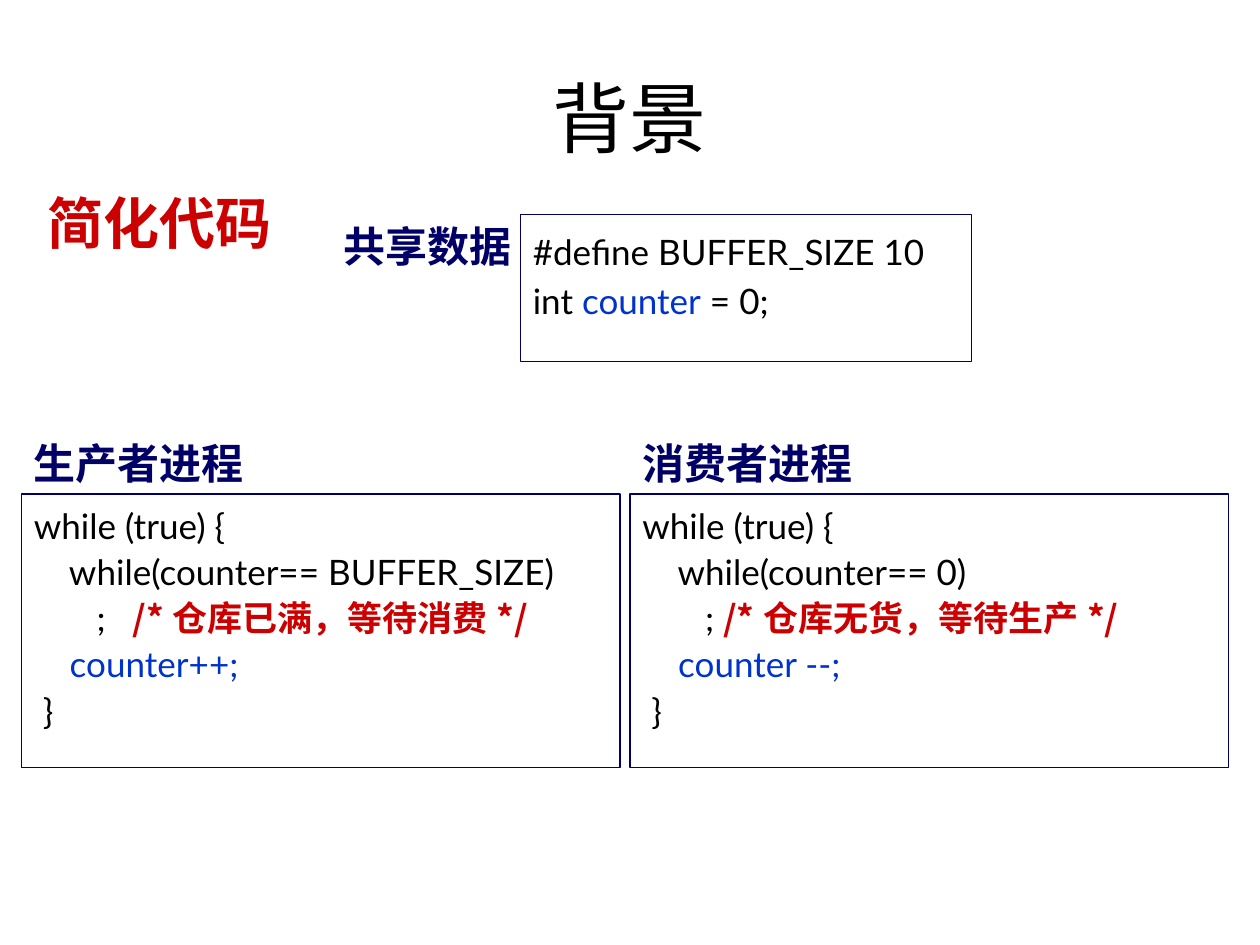
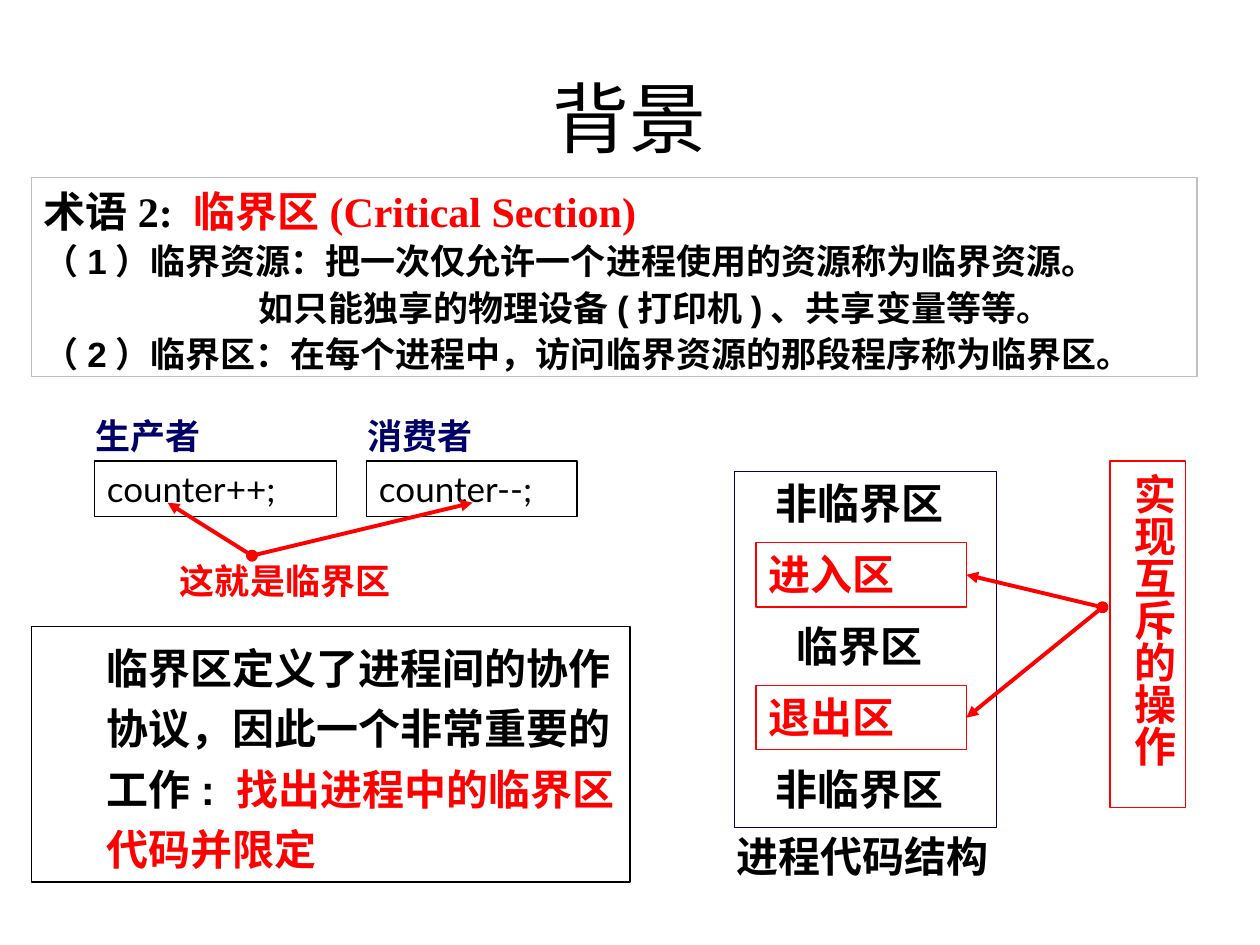
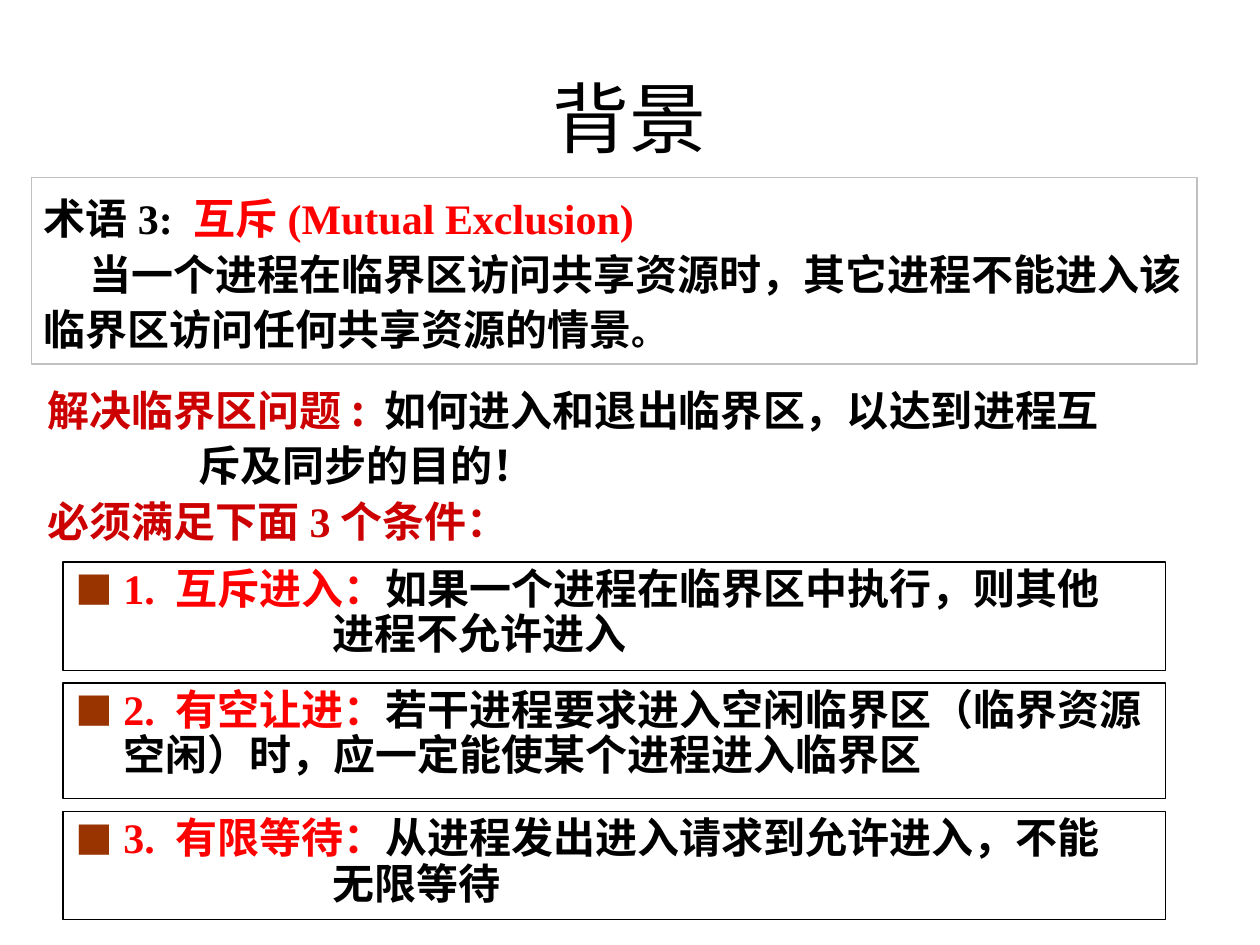
from dataclasses import dataclass
from typing import NamedTuple, Optional

from lxml import etree
from pptx import Presentation
from pptx.dml.color import RGBColor
from pptx.enum.shapes import MSO_CONNECTOR, MSO_SHAPE
from pptx.enum.text import MSO_ANCHOR, PP_ALIGN
from pptx.oxml.ns import qn
from pptx.util import Inches, Pt

RECTANGLE = MSO_SHAPE.RECTANGLE
STRAIGHT = MSO_CONNECTOR.STRAIGHT
TOP, MIDDLE = MSO_ANCHOR.TOP, MSO_ANCHOR.MIDDLE
LEFT, CENTER = PP_ALIGN.LEFT, PP_ALIGN.CENTER
RIGHT_SIDE = 3

COLORS = {
    "black": "000000",
    "white": "FFFFFF",
    "navy": "000066",
    "blue": "0033CC",
    "dark red": "CC0000",
    "red": "FF0000",
    "silver": "C0C0C0",
    "brown": "993300",
}
CJK, SANS, SERIF, CODE = "Noto Sans CJK SC", "Arial", "Times New Roman", "Lato"
TITLE = "背景"


# Text and shape descriptions
class Run(NamedTuple):
    text: str
    color: Optional[str] = None
    font: Optional[str] = None
    size: Optional[int] = None
    bold: Optional[bool] = None


@dataclass
class Line:
    runs: tuple[Run, ...]
    size: int = 24
    font: str = SANS
    color: str = "black"
    bold: bool = True
    margin: float = 0
    indent: float = 0
    spacing: float = 1.0
    before: float = 0
    align: PP_ALIGN = LEFT
    bullet: bool = False


@dataclass
class Box:
    left: float
    top: float
    width: float
    height: float
    lines: tuple[Line, ...] = ()
    border: Optional[str] = None
    fill: Optional[str] = None
    anchor: MSO_ANCHOR = TOP
    top_inset: float = 0.05
    vertical: bool = False


class Arrow(NamedTuple):
    start: tuple[float, float]
    end: tuple[float, float]
    target: Optional[object] = None


# Drawing functions
def rgb(color: str) -> RGBColor:
    return RGBColor.from_string(COLORS[color])


def add_bullet(properties) -> None:
    bullet_color = etree.SubElement(properties, qn("a:buClr"))
    etree.SubElement(bullet_color, qn("a:srgbClr"), val=COLORS["brown"])
    etree.SubElement(properties, qn("a:buSzPct"), val="90000")
    etree.SubElement(properties, qn("a:buFont"), typeface=CJK)
    etree.SubElement(properties, qn("a:buChar"), char="■")


def write_line(paragraph, line: Line) -> None:
    properties = paragraph._p.get_or_add_pPr()
    properties.set("marL", str(Inches(line.margin)))
    properties.set("indent", str(Inches(line.indent)))
    if line.bullet:
        add_bullet(properties)
    paragraph.alignment = line.align
    paragraph.line_spacing = line.spacing
    paragraph.space_before = Pt(line.before)
    font = paragraph.font
    font.size, font.bold, font.name = Pt(line.size), line.bold, line.font
    font.color.rgb = rgb(line.color)
    etree.SubElement(properties.find(qn("a:defRPr")), qn("a:ea"), typeface=CJK)
    for part in line.runs:
        run = paragraph.add_run()
        run.text = part.text
        if part.color:
            run.font.color.rgb = rgb(part.color)
        if part.font:
            run.font.name = part.font
        if part.size:
            run.font.size = Pt(part.size)
        if part.bold is not None:
            run.font.bold = part.bold


def write_lines(text_frame, lines: tuple[Line, ...]) -> None:
    for index, line in enumerate(lines):
        paragraph = text_frame.add_paragraph() if index else text_frame.paragraphs[0]
        write_line(paragraph, line)


def draw_box(slide, box: Box):
    place = [Inches(value) for value in (box.left, box.top, box.width, box.height)]
    if box.border:
        shape = slide.shapes.add_shape(RECTANGLE, *place)
        shape.shadow.inherit = False
        shape.line.color.rgb = rgb(box.border)
        shape.line.width = Pt(0.75)
        if box.fill:
            shape.fill.solid()
            shape.fill.fore_color.rgb = rgb(box.fill)
        else:
            shape.fill.background()
    else:
        shape = slide.shapes.add_textbox(*place)
    text_frame = shape.text_frame
    text_frame.word_wrap = True
    text_frame.vertical_anchor = box.anchor
    text_frame.margin_top = Inches(box.top_inset)
    if box.vertical:
        text_frame._txBody.bodyPr.set("vert", "eaVert")
    write_lines(text_frame, box.lines)
    return shape


def draw_arrow(slide, arrow: Arrow) -> None:
    ends = [Inches(value) for value in (*arrow.start, *arrow.end)]
    connector = slide.shapes.add_connector(STRAIGHT, *ends)
    if arrow.target is not None:
        connector.end_connect(arrow.target, RIGHT_SIDE)
    connector.line.color.rgb = rgb("red")
    connector.line.width = Pt(2.25)
    properties = connector._element.spPr
    outline = properties.find(qn("a:ln"))
    etree.SubElement(outline, qn("a:headEnd"), type="oval")
    etree.SubElement(outline, qn("a:tailEnd"), type="triangle")
    etree.SubElement(properties, qn("a:effectLst"))


def add_titled_slide(presentation):
    slide = presentation.slides.add_slide(presentation.slide_layouts[5])
    title = slide.shapes.title
    title.left, title.top = Inches(0.5), Inches(0.3)
    title.width, title.height = Inches(9), Inches(1.25)
    title.text_frame.vertical_anchor = MIDDLE
    heading = Line((Run(TITLE),), size=44, font=CJK, bold=False, align=CENTER)
    write_lines(title.text_frame, (heading,))
    return slide


# Short forms for recurring boxes
def label(left: float, top: float, width: float, text: str, color: str = "navy",
          size: int = 24, align: PP_ALIGN = LEFT) -> Box:
    height = 0.5 if size == 24 else 0.43
    line = Line((Run(text),), size=size, color=color, align=align)
    return Box(left, top, width, height, (line,))


def code_line(*runs: Run, spacing: float = 1.1, before: float = 0) -> Line:
    return Line(runs, size=20, font=CODE, bold=False, spacing=spacing, before=before)


def term_box(height: float, *lines: Line) -> Box:
    return Box(0.25, 1.41, 9.25, height, lines, border="silver", anchor=MIDDLE)


def term_heading(name: str, term: str) -> Line:
    return Line((Run(name), Run(term, "red")), font=SERIF, spacing=1.1)


# Slide 1: simplified producer and consumer code
def build_code_slide(presentation) -> None:
    slide = add_titled_slide(presentation)
    heading = Line((Run("简化代码"),), size=32, color="dark red")
    draw_box(slide, Box(0.28, 1.39, 8.58, 0.74, (heading,), anchor=MIDDLE))

    shared_data = (
        code_line(Run("#define BUFFER_SIZE 10"), spacing=1.0),
        code_line(Run("int "), Run("counter", "blue"), Run(" = 0;"), spacing=1.0, before=4),
    )
    draw_box(slide, Box(4.13, 1.7, 3.58, 1.17, shared_data, "navy", "white", top_inset=0.13))
    draw_box(slide, label(2.63, 1.7, 2.08, "共享数据"))

    processes = (
        (0.17, "生产者进程", "BUFFER_SIZE", "       ;   ", "/*仓库已满，等待消费*/", "counter++;"),
        (5, "消费者进程", "0", "       ; ", "/*仓库无货，等待生产*/", "counter --;"),
    )
    for left, name, limit, wait, comment, update in processes:
        code = (
            code_line(Run("while (true) {")),
            code_line(Run(f"    while(counter== {limit})")),
            code_line(Run(wait), Run(comment, "dark red", CJK, bold=True)),
            code_line(Run(f"    {update}", "blue")),
            code_line(Run(" }")),
        )
        draw_box(slide, Box(left, 3.92, 4.75, 2.17, code, "navy", "white"))
        draw_box(slide, label(left, 3.42, 2.83, name))


# Slide 2: critical section
def build_critical_section_slide(presentation) -> None:
    slide = add_titled_slide(presentation)
    details = (
        ("（1）临界资源：把一次仅允许一个进程使用的资源称为临界资源。", 0),
        ("如只能独享的物理设备(打印机)、共享变量等等。", 1.7),
        ("（2）临界区：在每个进程中，访问临界资源的那段程序称为临界区。", 0),
    )
    draw_box(slide, term_box(
        1.58,
        term_heading("术语2: ", "临界区(Critical Section)"),
        *(Line((Run(text),), size=20, margin=margin, spacing=1.1) for text, margin in details),
    ))

    # Producer and consumer statements
    statements = ((0.75, 1.92, "生产者", "counter++;"), (2.91, 1.67, "消费者", "counter--;"))
    for left, width, name, code in statements:
        line = code_line(Run(code), spacing=1.0)
        draw_box(slide, Box(left, 3.66, width, 0.44, (line,), "black"))
        draw_box(slide, label(left - 0.09, 3.24, 1.42, name, size=20))
    for tip_left in (1.33, 3.75):
        draw_arrow(slide, Arrow((2, 4.41), (tip_left, 3.99)))
    draw_box(slide, label(1.33, 4.39, 2.25, "这就是临界区", "red", 20))

    protocol = Line(
        (Run("临界区定义了进程间的协作协议，因此一个非常重要的工作: "),
         Run("找出进程中的临界区代码并限定", "red")),
        margin=0.5, spacing=1.2,
    )
    draw_box(slide, Box(0.25, 4.97, 4.75, 2.03, (protocol,), "black"))

    # Structure of the process code
    draw_box(slide, Box(5.83, 3.74, 2.08, 2.83, border="navy"))
    sections = ("非临界区", "进入区", "临界区", "退出区", "非临界区")
    for index, name in enumerate(sections):
        top = 3.74 + 0.567 * index
        if index % 2:
            line = Line((Run(name),), color="red")
            gate = draw_box(slide, Box(6, top, 1.67, 0.51, (line,), "red"))
            draw_arrow(slide, Arrow((8.75, 4.82), (7.67, top + 0.255), gate))
        else:
            draw_box(slide, label(5.91, top, 1.83, name, "black", align=CENTER))
    draw_box(slide, label(5.75, 6.54, 2.25, "进程代码结构", "black"))
    exclusion = Line((Run("实现互斥的操作"),), color="red")
    draw_box(slide, Box(8.81, 3.66, 0.6, 2.75, (exclusion,), "red", vertical=True))


# Slide 3: mutual exclusion and its conditions
def build_exclusion_slide(presentation) -> None:
    slide = add_titled_slide(presentation)
    definition = "当一个进程在临界区访问共享资源时，其它进程不能进入该临界区访问任何共享资源的情景"
    draw_box(slide, term_box(
        1.48,
        term_heading("术语3: ", "互斥(Mutual Exclusion)"),
        Line((Run(definition), Run("。", size=20)), indent=0.36, spacing=1.1),
    ))

    problem = (
        Line((Run("解决临界区问题: ", "dark red"), Run("如何进入和退出临界区，以达到进程互")),
             font=CJK, spacing=1.1),
        Line((Run("斥及同步的目的！"),), font=CJK, margin=1.2, spacing=1.1),
        Line((Run("必须满足下面3个条件"), Run("：", font=CJK)),
             font=SERIF, color="dark red", spacing=1.1),
    )
    draw_box(slide, Box(0.28, 3.42, 8.75, 0.5, problem, anchor=MIDDLE))

    conditions = (
        (4.46, 0.86, "1. 互斥进入", "如果一个进程在临界区中执行，则其他", "进程不允许进入"),
        (5.42, 0.92, "2. 有空让进",
         "若干进程要求进入空闲临界区（临界资源空闲）时，应一定能使某个进程进入临界区", ""),
        (6.44, 0.86, "3. 有限等待", "从进程发出进入请求到允许进入，不能", "无限等待"),
    )
    for top, height, name, text, continuation in conditions:
        runs = (Run(name, "red", SERIF), Run("：", "red"), Run(text))
        lines = (Line(runs, margin=0.38, indent=-0.38, spacing=0.9, bullet=True),)
        if continuation:
            lines += (Line((Run(continuation),), margin=2.04, spacing=0.9),)
        draw_box(slide, Box(0.5, top, 8.75, height, lines, "black"))


def main() -> None:
    presentation = Presentation()
    presentation.slide_width, presentation.slide_height = Inches(10), Inches(7.5)
    build_code_slide(presentation)
    build_critical_section_slide(presentation)
    build_exclusion_slide(presentation)
    presentation.save("out.pptx")


if __name__ == "__main__":
    main()
